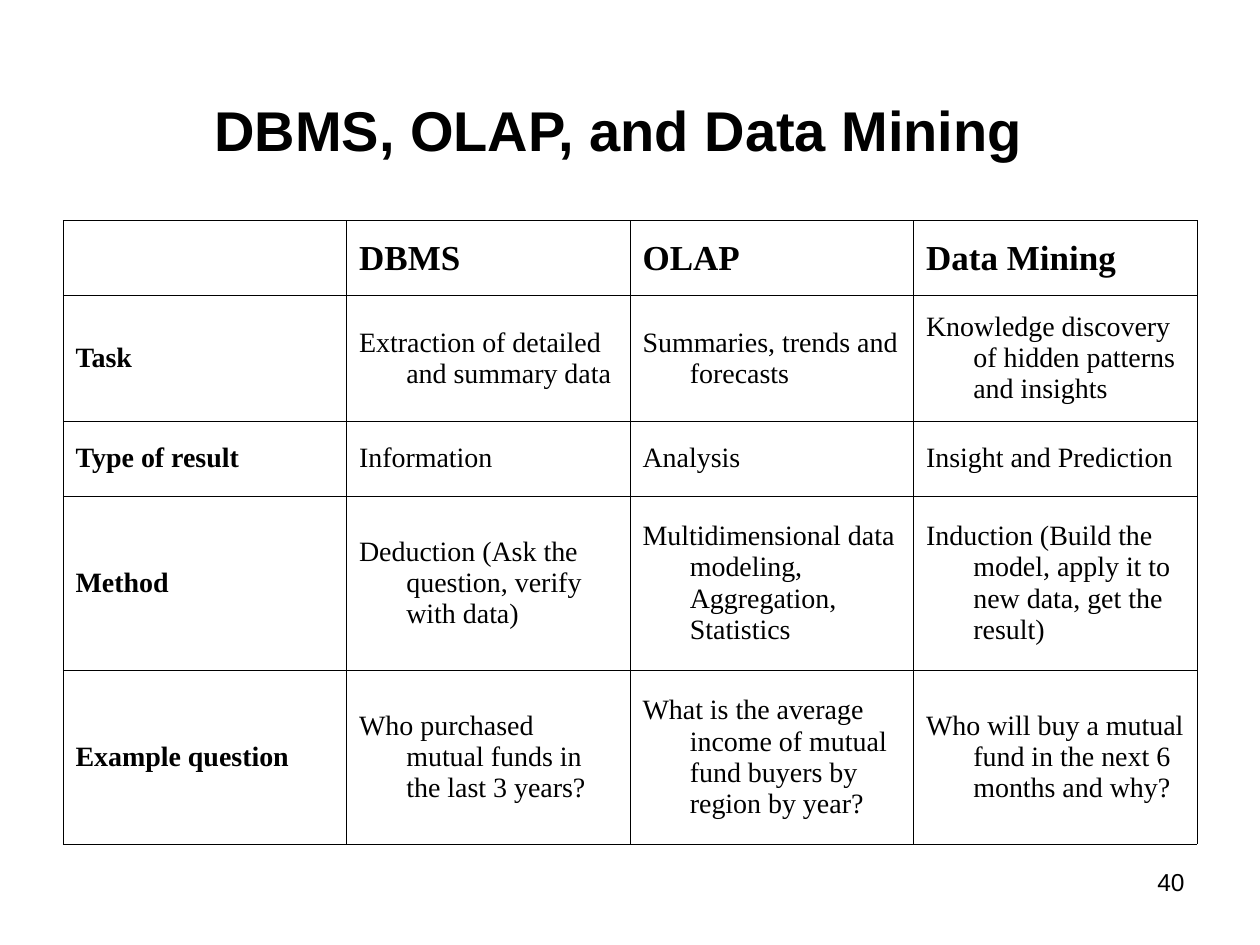
from lxml.etree import SubElement
from pptx import Presentation
from pptx.dml.color import RGBColor
from pptx.enum.text import MSO_ANCHOR as Anchor, PP_ALIGN as Align
from pptx.oxml.ns import qn
from pptx.util import Pt

BLACK = RGBColor(0, 0, 0)
BORDER_WIDTH = 0.34
HANGING_INDENT = 27
COLUMN_WIDTH = 162
ROW_HEIGHTS = [43, 71.5, 43, 99.5, 99.5]
COMPARISON = [
    ["", "DBMS", "OLAP", "Data Mining"],
    ["Task", "Extraction of detailed and summary data",
     "Summaries, trends and forecasts",
     "Knowledge discovery of hidden patterns and insights"],
    ["Type of result", "Information", "Analysis", "Insight and Prediction"],
    ["Method", "Deduction (Ask the question, verify with data)",
     "Multidimensional data modeling, Aggregation, Statistics",
     "Induction (Build the model, apply it to new data, get the result)"],
    ["Example question", "Who purchased mutual funds in the last 3 years?",
     "What is the average income of mutual fund buyers by region by year?",
     "Who will buy a mutual fund in the next 6 months and why?"],
]


def format_font(paragraph, name, size, bold=False):
    font = paragraph.font
    font.name, font.size, font.bold = name, Pt(size), bold
    font.color.rgb = BLACK


def add_title(slide, text):
    title = slide.shapes.title
    title.left, title.top = Pt(36), Pt(21.6)
    title.width, title.height = Pt(648), Pt(90)
    frame = title.text_frame
    frame.text = text
    frame.vertical_anchor = Anchor.MIDDLE
    frame.margin_top, frame.margin_right = Pt(18), Pt(20)
    paragraph = frame.paragraphs[0]
    paragraph.alignment = Align.CENTER
    format_font(paragraph, "Arial", 32, bold=True)


def add_borders(cell):
    properties = cell._tc.get_or_add_tcPr()
    for side in ("a:lnL", "a:lnR", "a:lnT", "a:lnB"):
        line = SubElement(properties, qn(side), w=str(Pt(BORDER_WIDTH)))
        fill = SubElement(line, qn("a:solidFill"))
        SubElement(fill, qn("a:srgbClr"), val=str(BLACK))


def fill_cell(cell, text, size, bold):
    add_borders(cell)
    cell.fill.background()
    cell.vertical_anchor = Anchor.MIDDLE
    cell.text = text
    paragraph = cell.text_frame.paragraphs[0]
    format_font(paragraph, "Times New Roman", size, bold)
    properties = paragraph._p.get_or_add_pPr()
    properties.set("marL", str(Pt(HANGING_INDENT)))
    properties.set("indent", str(-Pt(HANGING_INDENT)))


def add_comparison_table(slide):
    column_count = len(COMPARISON[0])
    table = slide.shapes.add_table(
        len(COMPARISON), column_count, Pt(36), Pt(126),
        Pt(COLUMN_WIDTH * column_count), Pt(sum(ROW_HEIGHTS))).table
    table.first_row = table.horz_banding = False
    for column in table.columns:
        column.width = Pt(COLUMN_WIDTH)
    for row_index, texts in enumerate(COMPARISON):
        table.rows[row_index].height = Pt(ROW_HEIGHTS[row_index])
        is_header = row_index == 0
        for column_index, text in enumerate(texts):
            fill_cell(table.cell(row_index, column_index), text,
                      size=20 if is_header else 16,
                      bold=is_header or column_index == 0)


def add_page_number(slide, text):
    box = slide.shapes.add_textbox(Pt(516), Pt(492), Pt(168), Pt(37.5))
    frame = box.text_frame
    frame.word_wrap = True
    frame.text = text
    paragraph = frame.paragraphs[0]
    paragraph.alignment = Align.RIGHT
    format_font(paragraph, "Arial", 14)


def main():
    presentation = Presentation()
    presentation.slide_width, presentation.slide_height = Pt(720), Pt(540)
    slide = presentation.slides.add_slide(presentation.slide_layouts[5])
    add_page_number(slide, "40")
    add_title(slide, "DBMS, OLAP, and Data Mining")
    add_comparison_table(slide)
    presentation.save("out.pptx")


if __name__ == "__main__":
    main()
